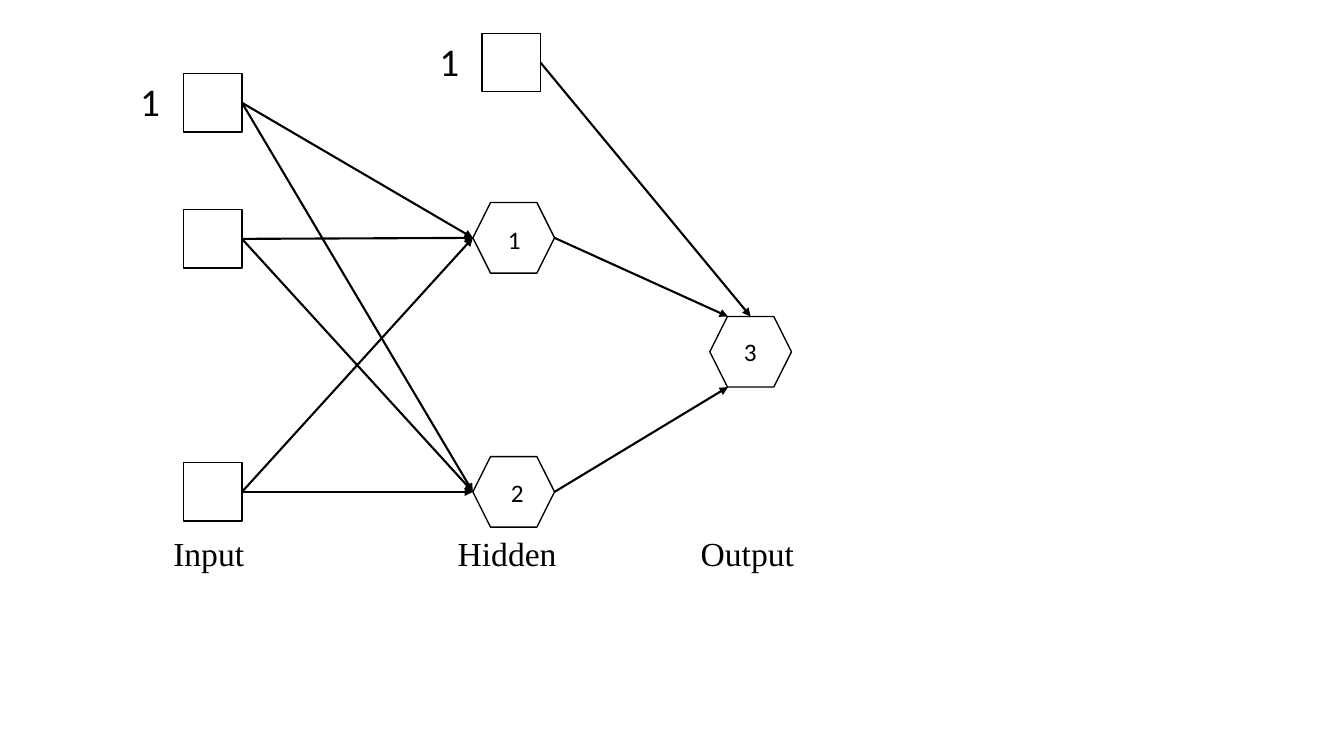
"""Draw a small feed-forward neural network with bias units."""
from lxml import etree
from pptx import Presentation
from pptx.dml.color import RGBColor
from pptx.enum.shapes import MSO_CONNECTOR, MSO_SHAPE
from pptx.enum.text import MSO_AUTO_SIZE
from pptx.oxml.ns import qn
from pptx.util import Inches, Pt

RECT, HEXAGON = MSO_SHAPE.RECTANGLE, MSO_SHAPE.HEXAGON
STRAIGHT = MSO_CONNECTOR.STRAIGHT
FIT_TEXT = MSO_AUTO_SIZE.SHAPE_TO_FIT_TEXT
BLACK = "000000"
RIGHT_SIDE = 3

SQUARE = (0.58, 0.58)
HEX = (0.81, 0.7)
HEX_CORNER = 0.18

SQUARES = {
    "input 1": (1.82, 2.08),
    "input 2": (1.82, 4.59),
    "hidden bias": (1.82, 0.73),
    "output bias": (4.78, 0.33),
}
NEURONS = {"1": (4.69, 2.01), "2": (4.69, 4.53), "3": (7.04, 3.14)}
EDGES = [
    ("input 1", "1", "left"),
    ("input 2", "2", "left"),
    ("input 1", "2", "left"),
    ("input 2", "1", "left"),
    ("1", "3", "top left"),
    ("2", "3", "bottom left"),
    ("hidden bias", "1", "left"),
    ("hidden bias", "2", "left"),
    ("output bias", "3", "top"),
]
NUMBERS = [("1", 4.94, 2.18), ("2", 4.97, 4.69), ("3", 7.28, 3.29)]
LAYERS = [("Input", 1.62, 0.99), ("Hidden", 4.44, 1.22), ("Output", 6.85, 1.22)]
BIASES = [("1", 1.29, 0.72), ("1", 4.26, 0.32)]


def color(value):
    return RGBColor.from_string(value)


def add_node(s, kind, pos, size):
    sp = s.shapes.add_shape(kind, *map(Inches, pos + size))
    sp.shadow.inherit = False
    sp.fill.background()
    sp.line.color.rgb = color(BLACK)
    sp.line.width = Pt(1)
    return sp


def neuron_point(name, side):
    x, y = NEURONS[name]
    w, h = HEX
    return {
        "left": (x, y + h / 2),
        "right": (x + w, y + h / 2),
        "top": (x + w / 2, y),
        "top left": (x + HEX_CORNER, y),
        "bottom left": (x + HEX_CORNER, y + h),
    }[side]


def add_edge(s, squares, source, target, side):
    end = neuron_point(target, side)
    start = end if source in squares else neuron_point(source, "right")
    cx = s.shapes.add_connector(STRAIGHT, *map(Inches, start + end))
    if source in squares:
        cx.begin_connect(squares[source], RIGHT_SIDE)
    cx.line.color.rgb = color(BLACK)
    cx.line.width = Pt(1.5)
    etree.SubElement(cx.line._get_or_add_ln(), qn("a:tailEnd"), type="triangle")
    etree.SubElement(cx._element.spPr, qn("a:effectLst"))


def add_label(s, text, box, size, font, wrap=True):
    tf = s.shapes.add_textbox(*map(Inches, box)).text_frame
    tf.word_wrap = wrap
    tf.auto_size = FIT_TEXT
    p = tf.paragraphs[0]
    p.text = text
    p.font.size = Pt(size)
    p.font.name = font
    p.font.color.rgb = color(BLACK)


def main():
    prs = Presentation()
    prs.slide_width, prs.slide_height = Inches(13.33), Inches(7.5)
    s = prs.slides.add_slide(prs.slide_layouts[6])
    squares = {name: add_node(s, RECT, pos, SQUARE) for name, pos in SQUARES.items()}
    for pos in NEURONS.values():
        add_node(s, HEXAGON, pos, HEX)
    for edge in EDGES:
        add_edge(s, squares, *edge)
    for text, x, y in NUMBERS:
        add_label(s, text, (x, y, 0.33, 0.4), 18, "Calibri", wrap=False)
    for text, x, w in LAYERS:
        add_label(s, text, (x, 5.24, w, 0.5), 24, "Times New Roman")
    for text, x, y in BIASES:
        add_label(s, text, (x, y, 0.69, 0.57), 28, "Calibri")
    prs.save("out.pptx")


if __name__ == "__main__":
    main()
